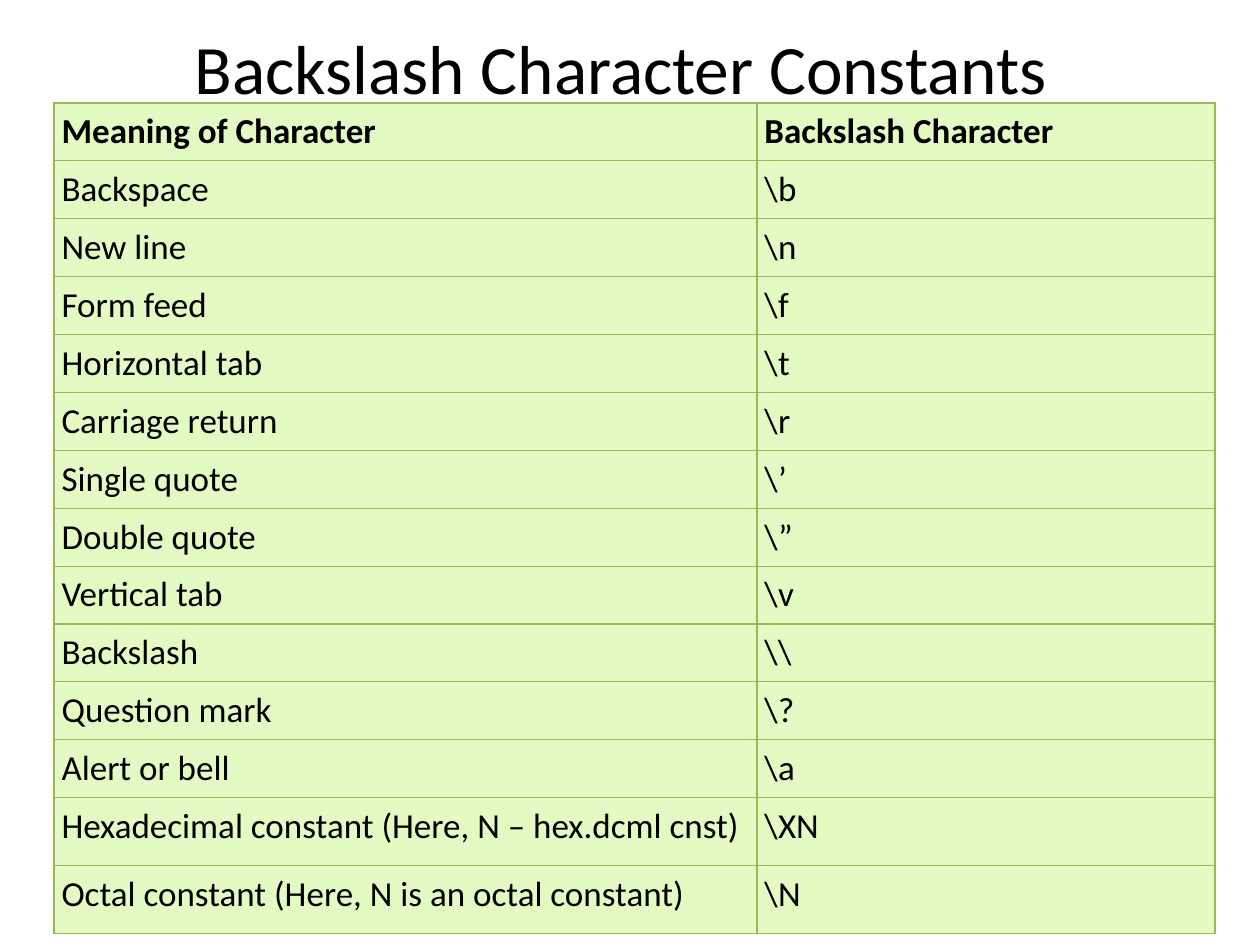
from lxml import etree
from pptx import Presentation
from pptx.dml.color import RGBColor
from pptx.enum.text import MSO_ANCHOR, PP_ALIGN
from pptx.oxml.ns import qn
from pptx.util import Pt

TITLE = "Backslash Character Constants"
ROWS = [
    ("Meaning of Character", "Backslash Character"),
    ("Backspace", r"\b"),
    ("New line", r"\n"),
    ("Form feed", r"\f"),
    ("Horizontal tab", r"\t"),
    ("Carriage return", r"\r"),
    ("Single quote", r"\’"),
    ("Double quote", r"\”"),
    ("Vertical tab", r"\v"),
    ("Backslash", r"\\"),
    ("Question mark", r"\?"),
    ("Alert or bell", r"\a"),
    ("Hexadecimal constant (Here, N – hex.dcml cnst)", r"\XN"),
    ("Octal constant (Here, N is an octal constant)", r"\N"),
]
COLORS = {"text": "000000", "cell": "E3FBC2", "border": "98B955"}
FONT = "Calibri"
COLUMN_WIDTHS = (703, 458)
ROW_HEIGHTS = [57] * 12 + [68] * 2
TABLE_LEFT, TABLE_TOP = 54, 103
CELL_MARGIN = 7.5
BORDER_WIDTH = Pt(0.75)


def px(length):
    return round(length * 914400 / 126)


def set_all(target, values):
    for name, value in values.items():
        setattr(target, name, value)


def style_font(font, size, bold=False):
    set_all(font, {"name": FONT, "size": Pt(size), "bold": bold})
    font.color.rgb = RGBColor.from_string(COLORS["text"])


def add_borders(cell):
    """Outline the cell; the lines must come before its fill in the XML."""
    properties = cell._tc.get_or_add_tcPr()
    for position, side in enumerate(("lnL", "lnR", "lnT", "lnB")):
        line = etree.Element(qn(f"a:{side}"), w=str(BORDER_WIDTH))
        fill = etree.SubElement(line, qn("a:solidFill"))
        etree.SubElement(fill, qn("a:srgbClr"), val=COLORS["border"])
        properties.insert(position, line)


def add_title(slide):
    title = slide.shapes.title
    set_all(title, {"left": px(54), "top": px(25),
                    "width": px(1134), "height": px(157)})
    frame = title.text_frame
    set_all(frame, {"margin_top": 0, "word_wrap": True,
                    "vertical_anchor": MSO_ANCHOR.TOP})
    heading = frame.paragraphs[0]
    set_all(heading, {"text": TITLE, "alignment": PP_ALIGN.CENTER})
    style_font(heading.font, 39.6)


def add_constants(slide):
    table = slide.shapes.add_table(
        len(ROWS), len(COLUMN_WIDTHS), px(TABLE_LEFT), px(TABLE_TOP),
        px(sum(COLUMN_WIDTHS)), px(sum(ROW_HEIGHTS))).table
    for column, width in zip(table.columns, COLUMN_WIDTHS):
        column.width = px(width)
    margins = {f"margin_{side}": px(CELL_MARGIN)
               for side in ("left", "right", "top", "bottom")}
    for r, (row, height, texts) in enumerate(
            zip(table.rows, ROW_HEIGHTS, ROWS)):
        row.height = px(height)
        for cell, text in zip(row.cells, texts):
            set_all(cell, {"text": text, **margins})
            style_font(cell.text_frame.paragraphs[0].font, 20, bold=r == 0)
            cell.fill.solid()
            cell.fill.fore_color.rgb = RGBColor.from_string(COLORS["cell"])
            add_borders(cell)


def main():
    deck = Presentation()
    set_all(deck, {"slide_width": px(1260), "slide_height": px(945)})
    slide = deck.slides.add_slide(deck.slide_layouts[5])
    add_title(slide)
    add_constants(slide)
    deck.save("out.pptx")


if __name__ == "__main__":
    main()
